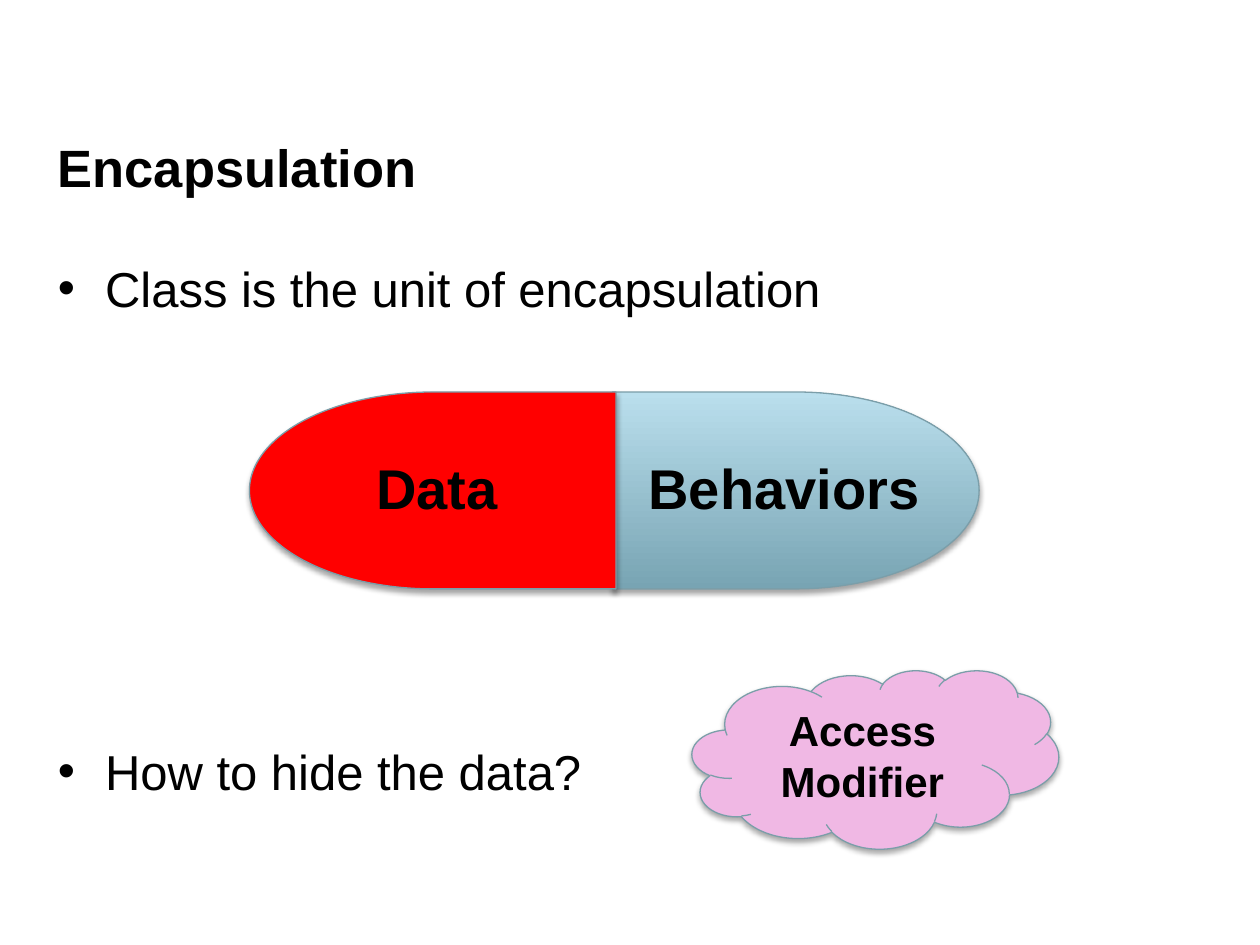
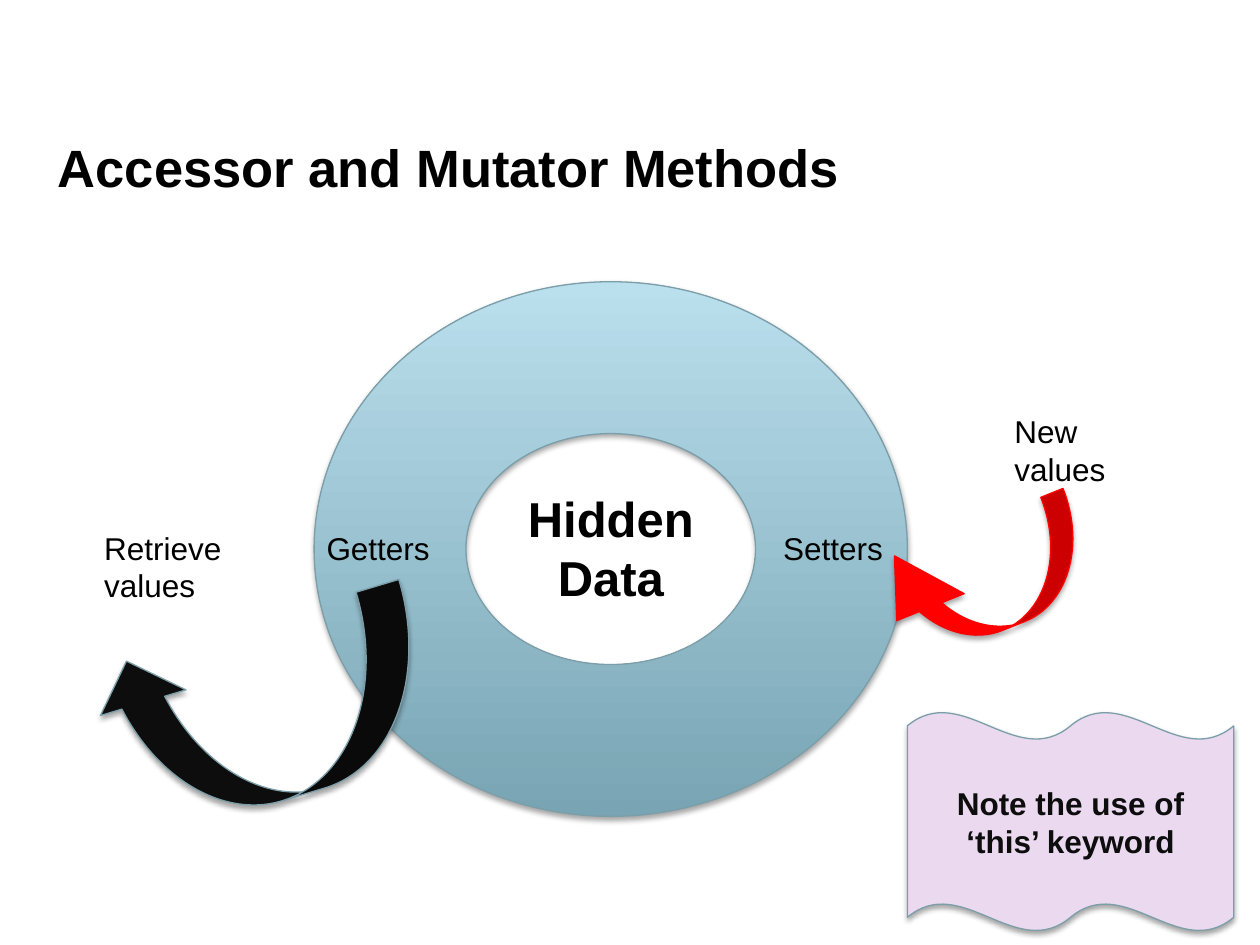
from dataclasses import dataclass

from lxml import etree
from pptx import Presentation
from pptx.dml.color import RGBColor
from pptx.enum.shapes import MSO_SHAPE as Preset
from pptx.enum.text import MSO_ANCHOR as Anchor, PP_ALIGN as Align
from pptx.oxml.ns import qn
from pptx.util import Pt


@dataclass(frozen=True)
class Theme:
    font: str = "Arial"
    black: str = "000000"
    ink: str = "0D0D0D"
    red: str = "FF0000"
    outline: str = "7B9EA9"
    steel: tuple = ("78A4B3", "BADFED")
    pink: str = "F0B8E4"
    lilac: str = "EAD9EF"
    title: int = 30
    body: int = 28
    pill: int = 32
    cloud: int = 24
    label: int = 18


THEME = Theme()
SLIDE_SIZE = (720, 540)
TITLE_BOX = (26, 71.5, 668, 52)


def place(box, left, top, width, height):
    return [Pt(value) for value in (box[0] + left, box[1] + top, width, height)]


def write(shape, texts, size, color=THEME.black, bold=False, align=Align.LEFT,
          anchor=Anchor.TOP, line_spacing=None, gap=0, bullet=False):
    frame = shape.text_frame
    frame.word_wrap = True
    frame.vertical_anchor = anchor
    for index, text in enumerate(texts):
        paragraph = frame.paragraphs[0] if index == 0 else frame.add_paragraph()
        paragraph.text = text
        paragraph.alignment = align
        if line_spacing:
            paragraph.line_spacing = line_spacing
        if index:
            paragraph.space_before = Pt(gap)
        if bullet:
            add_bullet(paragraph)
        font = paragraph.font
        font.name, font.size, font.bold = THEME.font, Pt(size), bold
        font.color.rgb = RGBColor.from_string(color)


def add_bullet(paragraph):
    properties = paragraph._p.get_or_add_pPr()
    properties.set("marL", str(Pt(27)))
    properties.set("indent", str(-Pt(27)))
    etree.SubElement(properties, qn("a:buFont"), typeface=THEME.font)
    etree.SubElement(properties, qn("a:buChar"), char="•")


def add_text(slide, position, *texts, **style):
    write(slide.shapes.add_textbox(*position), texts, **style)


def add_shadow(shape):
    shape.shadow.inherit = False
    effects = shape._element.spPr.find(qn("a:effectLst"))
    shadow = etree.SubElement(
        effects, qn("a:outerShdw"), blurRad=str(Pt(3.1)), dist=str(Pt(1.8)),
        dir="5400000", rotWithShape="0")
    color = etree.SubElement(shadow, qn("a:srgbClr"), val=THEME.black)
    etree.SubElement(color, qn("a:alpha"), val="35000")


def add_preset(slide, preset, position, fill, line=THEME.outline, rotation=0,
               adjustments=()):
    shape = slide.shapes.add_shape(preset, *position)
    shape.rotation = rotation
    for index, value in enumerate(adjustments):
        shape.adjustments[index] = value
    if isinstance(fill, tuple):
        shape.fill.gradient()
        shape.fill.gradient_angle = 90
        for stop, color in zip(shape.fill.gradient_stops, fill):
            stop.color.rgb = RGBColor.from_string(color)
        for stop, offset in zip(shape.fill.gradient_stops, (0, 1)):
            stop.position = offset
    else:
        shape.fill.solid()
        shape.fill.fore_color.rgb = RGBColor.from_string(fill)
    shape.line.color.rgb = RGBColor.from_string(line)
    shape.line.width = Pt(0.75)
    add_shadow(shape)
    return shape


def add_titled_slide(presentation, title):
    slide = presentation.slides.add_slide(presentation.slide_layouts[6])
    add_text(slide, place(TITLE_BOX, 0, 0, *TITLE_BOX[2:]), title,
             size=THEME.title, bold=True, anchor=Anchor.MIDDLE, line_spacing=0.9)
    return slide


def add_capsule(slide, box):
    width, height = box[2:]
    half = width / 2 + 1
    add_preset(slide, Preset.FLOWCHART_DELAY,
               place(box, width - half, 0, half, height), THEME.steel)
    add_preset(slide, Preset.FLOWCHART_DELAY,
               place(box, 0, 0, half, height), THEME.red, rotation=180)
    for text, left, label_width in (("Data", 65.5, 107), ("Behaviors", 221, 222)):
        add_text(slide, place(box, left, 31.5, label_width, 46), text,
                 size=THEME.pill, bold=True)


def add_note(slide, preset, box, text, fill, **style):
    note = add_preset(slide, preset, place(box, 0, 0, *box[2:]), fill)
    write(note, [text], bold=True, align=Align.CENTER, anchor=Anchor.MIDDLE, **style)


def add_access_ring(slide, box):
    width, height = box[2:]
    add_preset(slide, Preset.DONUT, place(box, 0, 0, width, height), THEME.steel,
               adjustments=[0.284])
    add_text(slide, place(box, 109, 114.5, 121, 75), "Hidden Data",
             size=THEME.body, bold=True, align=Align.CENTER)
    labels = (
        ("Getters", 0, 137.5, 112),
        ("Setters", 261, 137.5, 78),
        ("New values", 393, 71, 104),
        ("Retrieve values", -127, 137.5, 117),
    )
    for text, left, top, label_width in labels:
        add_text(slide, place(box, left, top, label_width, 29), text, size=THEME.label)
    add_preset(slide, Preset.CURVED_LEFT_ARROW, place(box, 350.5, 108, 62.5, 124.5),
               THEME.red, line=THEME.red, rotation=68.2,
               adjustments=[0.219, 0.664, 0.558])
    add_preset(slide, Preset.CURVED_LEFT_ARROW, place(box, -78, 152, 102, 188),
               THEME.ink, rotation=73.3)


def build_encapsulation(presentation):
    slide = add_titled_slide(presentation, "Encapsulation")
    add_text(slide, place((26, 144), 0, 0, 668, 341),
             "Class is the unit of encapsulation", "How to hide the data?",
             size=THEME.body, gap=242.5, bullet=True)
    add_capsule(slide, (142.5, 224, 417, 112.5))
    add_note(slide, Preset.CLOUD, (395.5, 383, 209.5, 102), "Access Modifier",
             THEME.pink, size=THEME.cloud)


def build_accessors(presentation):
    slide = add_titled_slide(presentation, "Accessor and Mutator Methods")
    add_access_ring(slide, (179.5, 161, 339, 305.5))
    add_note(slide, Preset.DOUBLE_WAVE, (518.5, 407, 186.5, 125),
             "Note the use of ‘this’ keyword", THEME.lilac,
             size=THEME.label, color=THEME.ink)


def main():
    presentation = Presentation()
    presentation.slide_width, presentation.slide_height = map(Pt, SLIDE_SIZE)
    build_encapsulation(presentation)
    build_accessors(presentation)
    presentation.save("out.pptx")


if __name__ == "__main__":
    main()
